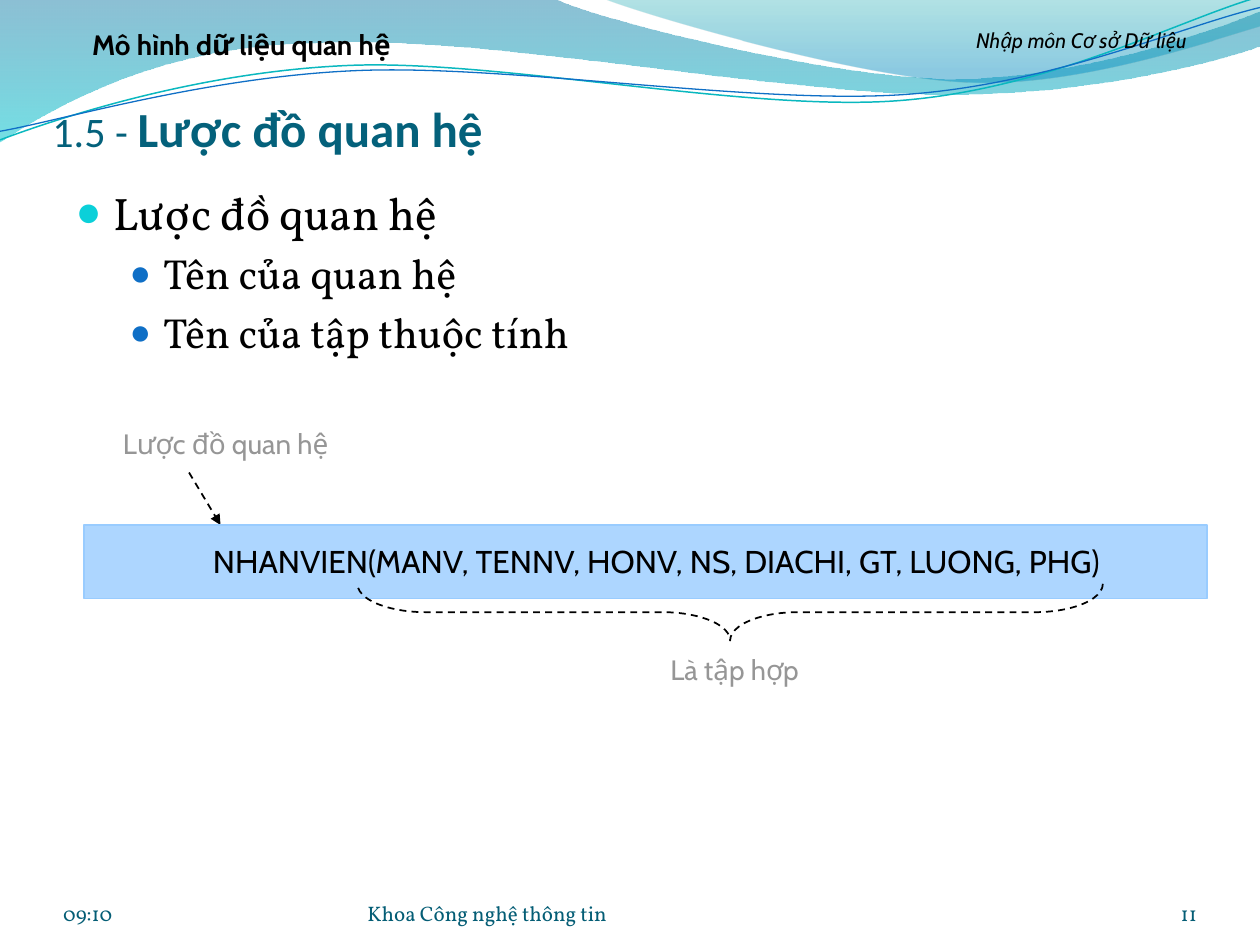
from dataclasses import dataclass
from typing import Optional

import pptx
import pptx.dml.color
import pptx.enum.dml
import pptx.enum.shapes
import pptx.enum.text
import pptx.oxml
import pptx.oxml.ns
import pptx.util

Pt = pptx.util.Pt
RGB = pptx.dml.color.RGBColor
Align = pptx.enum.text.PP_ALIGN
Anchor = pptx.enum.text.MSO_ANCHOR
Shape = pptx.enum.shapes.MSO_SHAPE
qn = pptx.oxml.ns.qn

BLACK = RGB(0, 0, 0)
GRAY = RGB(0x96, 0x96, 0x96)
TEAL = RGB(0x04, 0x61, 0x7B)
FOOT = RGB(0x04, 0x5D, 0x75)
SKY = RGB(0x99, 0xCC, 0xFF)
CYAN = RGB(0x0B, 0xD0, 0xD9)
BLUE = RGB(0x0F, 0x6F, 0xC6)
AQUA = RGB(0x0A, 0xB8, 0xBF)


@dataclass
class Stop:
    at: float
    color: RGB
    alpha: int


@dataclass
class Wave:
    """Steps hold one point for a straight line, three for a Bezier curve."""
    start: tuple
    steps: list
    stops: tuple = ()
    line: Optional[RGB] = None
    width: float = 0
    turn: float = 0


@dataclass
class Label:
    text: str
    box: tuple
    size: int
    color: RGB = BLACK
    font: str = "Cabin"
    align: Align = Align.CENTER
    bold: bool = False
    italic: bool = False
    foot: bool = False


@dataclass
class Bullet:
    text: str
    level: int
    size: int
    left: float
    hang: float
    color: RGB
    scale: int


WAVES = [
    Wave((0, -0.7), [(317, -0.7), (343, 12, 478, 45, 546, 45), (614, 45, 690, 19, 720, 6.5),
                     (721, 26), (708, 32, 626, 55, 537, 54), (447, 54, 275, 20, 185, 24.5),
                     (93, 25, 33, 60, -0.7, 81.4)],
         (Stop(0, RGB(0x00, 0x74, 0xA1), 45), Stop(1, RGB(0x00, 0xC6, 0xCF), 55))),
    Wave((345, -0.7), [(366, 8, 491, 45, 554, 47), (616, 49.7, 692, 23, 720, 15), (720, 0)],
         (Stop(0, RGB(0x00, 0xA1, 0xA9), 30), Stop(0.8, RGB(0x00, 0x8B, 0xBF), 45))),
    Wave((-1.4, 63), [(33.8, 51.7, 114.1, 29.4, 199.8, 29.9),
                      (284.8, 30.3, 425.8, 67.3, 512.5, 64.8),
                      (599.1, 62.4, 676.5, 25.7, 720.2, 15.5)],
         line=AQUA, width=0.85, turn=357.3),
    Wave((-1.1, 58), [(32.9, 53.8, 118.3, 32.5, 204.1, 33),
                      (290.6, 33.4, 428.9, 63.1, 515.5, 61.4),
                      (601.3, 59.6, 675.6, 29.9, 721.4, 21.3)],
         line=BLUE, width=0.75, turn=357.3),
]
BULLETS = [
    Bullet("Lược đồ quan hệ", 0, 26, 21.6, 21.6, CYAN, 95),
    Bullet("Tên của quan hệ", 1, 24, 50, 19.2, BLUE, 85),
    Bullet("Tên của tập thuộc tính", 1, 24, 50, 19.2, BLUE, 85),
]
RELATION = Label("NHANVIEN(MANV, TENNV, HONV, NS, DIACHI, GT, LUONG, PHG)",
                 (66, 306, 618, 29), 18)
LABELS = [
    Label("Lược đồ quan hệ", (18, 240, 222, 26.6), 16, GRAY),
    RELATION,
    Label("Là tập hợp", (351.4, 369.4, 136.8, 26.6), 16, GRAY),
    Label("Nhập môn Cơ sở Dữ liệu", (516, 12, 204, 27), 12, italic=True),
    Label("Mô hình dữ liệu quan hệ", (18, 12, 240, 26.6), 16, bold=True),
    Label("09:10", (36, 500.4, 168, 28.8), 12, FOOT, "Vollkorn", Align.LEFT, foot=True),
    Label("Khoa Công nghệ thông tin", (210, 500.4, 264, 28.8), 12, FOOT, "Vollkorn",
          Align.LEFT, foot=True),
    Label("11", (624, 500.4, 60, 28.8), 12, FOOT, "Vollkorn", Align.RIGHT, foot=True),
]


def add(parent, tag: str, **attrs):
    child = pptx.oxml.parse_xml(f'<{tag} {pptx.oxml.ns.nsdecls("a")}/>')
    for key, value in attrs.items():
        child.set(key, str(value))
    parent.append(child)
    return child


def fade(color, alpha: int) -> None:
    add(color, "a:alpha", val=alpha * 1000)


def place(shape, box: tuple) -> None:
    shape.left, shape.top, shape.width, shape.height = map(Pt, box)


def bend(shape, steps: list) -> None:
    """Join each three lines that stand for a curve into one Bezier segment."""
    lines = iter(list(shape.element.iter(qn("a:lnTo"))))
    for step in steps:
        first = next(lines)
        if len(step) == 6:
            first.tag = qn("a:cubicBezTo")
            for _ in range(2):
                extra = next(lines)
                first.append(extra[0])
                extra.getparent().remove(extra)


def draw_wave(shapes, wave: Wave):
    spots = [(Pt(step[i]), Pt(step[i + 1])) for step in wave.steps
             for i in range(0, len(step), 2)]
    pen = shapes.build_freeform(*map(Pt, wave.start))
    pen.add_line_segments(spots, close=bool(wave.stops))
    shape = pen.convert_to_shape()
    bend(shape, wave.steps)
    shape.shadow.inherit = False
    shape.rotation = wave.turn
    if wave.stops:
        shape.line.fill.background()
        shape.fill.gradient()
        shape.fill.gradient_angle = 270
        for mark, stop in zip(shape.fill.gradient_stops, wave.stops):
            mark.position, mark.color.rgb = stop.at, stop.color
        for color, stop in zip(shape.element.iter(qn("a:srgbClr")), wave.stops):
            fade(color, stop.alpha)
    else:
        shape.fill.background()
        shape.line.color.rgb, shape.line.width = wave.line, Pt(wave.width)
    return shape


def draw_label(shapes, label: Label) -> None:
    frame = shapes.add_textbox(*map(Pt, label.box)).text_frame
    frame.word_wrap = True
    if label.foot:
        frame.vertical_anchor = Anchor.BOTTOM
        frame.margin_left = frame.margin_right = frame.margin_top = frame.margin_bottom = 0
    para = frame.paragraphs[0]
    para.text, para.alignment = label.text, label.align
    font = para.font
    font.name, font.size, font.color.rgb = label.font, Pt(label.size), label.color
    font.bold, font.italic = label.bold, label.italic


def fill_title(title) -> None:
    place(title, (30, 54, 648, 36))
    frame = title.text_frame
    frame.auto_size = pptx.enum.text.MSO_AUTO_SIZE.NONE
    frame.vertical_anchor = Anchor.BOTTOM
    frame.margin_left = frame.margin_right = frame.margin_bottom = 0
    para = frame.paragraphs[0]
    para.alignment = Align.LEFT
    para.font.name, para.font.color.rgb = "Calibri", TEAL
    for text, size, bold in (("1.5 - ", 24, False), ("Lược đồ quan hệ", 28, True)):
        run = para.add_run()
        run.text, run.font.size, run.font.bold = text, Pt(size), bold


def fill_body(body) -> None:
    place(body, (36, 102, 648, 300))
    frame = body.text_frame
    frame.auto_size = pptx.enum.text.MSO_AUTO_SIZE.NONE
    for i, item in enumerate(BULLETS):
        para = frame.add_paragraph() if i else frame.paragraphs[0]
        para.text, para.level = item.text, item.level
        props = para._p.get_or_add_pPr()
        props.set("marL", str(Pt(item.left)))
        props.set("indent", str(-Pt(item.hang)))
        add(add(props, "a:buClr"), "a:srgbClr", val=item.color)
        add(props, "a:buSzPct", val=item.scale * 1000)
        add(props, "a:buChar", char="●")
        font = para.font
        font.name, font.size, font.color.rgb = "Vollkorn", Pt(item.size), BLACK


def dash(line) -> None:
    line.color.rgb, line.width = BLACK, Pt(1)
    line.dash_style = pptx.enum.dml.MSO_LINE.DASH


def draw_scheme(shapes) -> None:
    """Draw the band behind the relation, its arrow and its brace."""
    arrow = shapes.add_connector(pptx.enum.shapes.MSO_CONNECTOR.STRAIGHT,
                                 Pt(108), Pt(270), Pt(126), Pt(300))
    dash(arrow.line)
    add(arrow.line._get_or_add_ln(), "a:tailEnd", type="triangle")
    add(arrow.element.spPr, "a:effectLst")

    band = shapes.add_shape(Shape.RECTANGLE, Pt(48), Pt(300), Pt(642), Pt(42))
    band.shadow.inherit = False
    band.fill.solid()
    band.fill.fore_color.rgb = band.line.color.rgb = SKY
    band.line.width = Pt(1)
    fade(next(band.element.iter(qn("a:srgbClr"))), 80)

    brace = shapes.add_shape(Shape.RIGHT_BRACE, Pt(401), Pt(136.8), Pt(32.4), Pt(426))
    brace.shadow.inherit = False
    brace.rotation = 90
    brace.adjustments[0], brace.adjustments[1] = 1.2, 0.5
    brace.fill.background()
    dash(brace.line)


def main() -> None:
    deck = pptx.Presentation()
    deck.slide_width, deck.slide_height = Pt(720), Pt(540)
    shapes = deck.slides.add_slide(deck.slide_layouts[1]).shapes
    for i, wave in enumerate(WAVES):  # the waves belong to the master, behind all else
        node = draw_wave(shapes, wave).element
        node.nvSpPr.cNvPr.set("id", str(20 + i))
        deck.slide_master.shapes.element.insert(2 + i, node)
    fill_title(shapes.title)
    fill_body(shapes.placeholders[1])
    draw_scheme(shapes)
    for label in LABELS:
        draw_label(shapes, label)
    deck.save("out.pptx")


if __name__ == "__main__":
    main()
